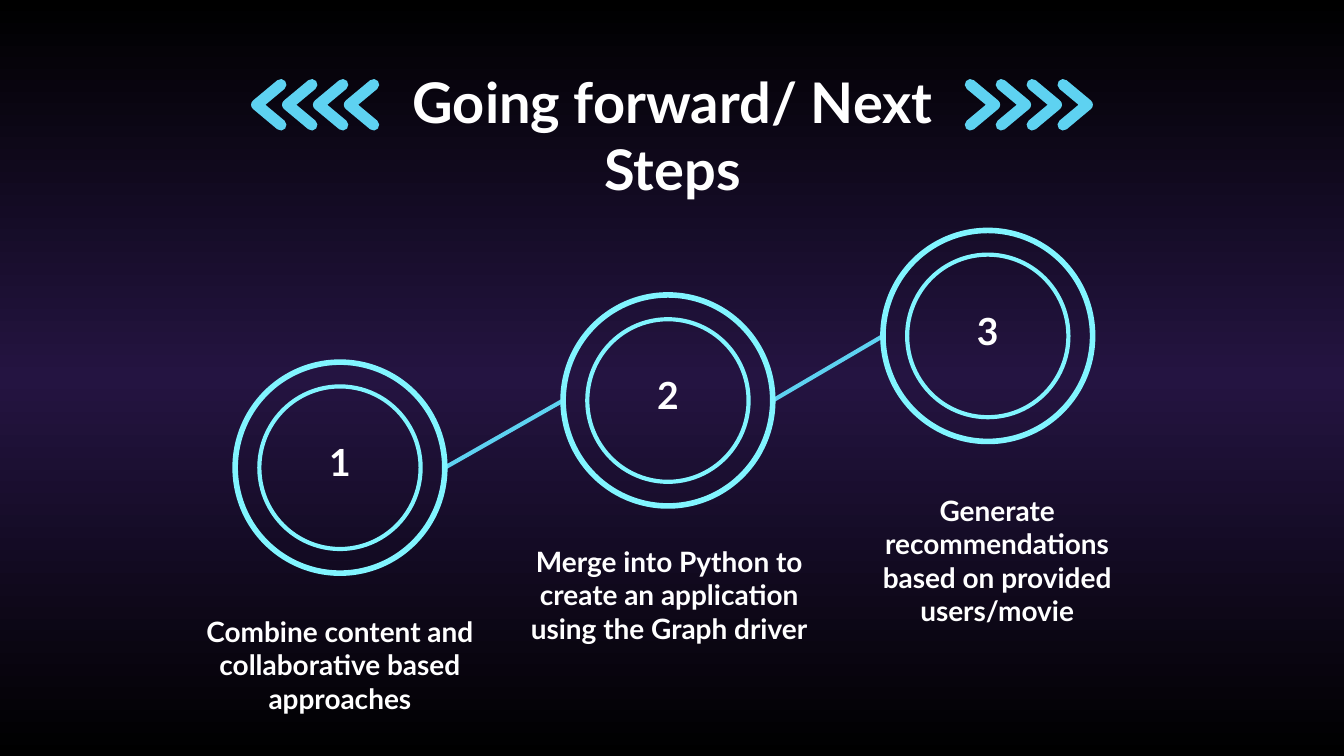
from copy import deepcopy
from dataclasses import dataclass
from itertools import pairwise

from lxml import etree
from pptx import Presentation
from pptx.dml.color import RGBColor
from pptx.enum.shapes import MSO_CONNECTOR, MSO_SHAPE
from pptx.enum.text import MSO_ANCHOR, PP_ALIGN
from pptx.oxml.ns import qn
from pptx.shapes.group import GroupShape
from pptx.slide import Slide
from pptx.util import Inches, Pt

ELLIPSE = MSO_SHAPE.OVAL
STRAIGHT = MSO_CONNECTOR.STRAIGHT
CENTER = PP_ALIGN.CENTER
TOP = MSO_ANCHOR.TOP

BLACK = RGBColor(0x00, 0x00, 0x00)
PURPLE = RGBColor(0x24, 0x14, 0x41)
WHITE = RGBColor(0xFF, 0xFF, 0xFF)
AQUA = RGBColor(0x81, 0xF5, 0xFF)
SKY = RGBColor(0x5E, 0xD2, 0xF1)

SLIDE_WIDTH = Inches(10)
SLIDE_HEIGHT = SLIDE_WIDTH * 9 // 16
RINGS = ((1.2, 1.21, 2.25), (1.56, 1.57, 3))
OUTER_RADIUS = 0.78
CHEVRONS = 4
CHEVRON_PITCH = 0.23
CHEVRON_WIDTH = 0.18
CHEVRON_TOP, CHEVRON_MIDDLE, CHEVRON_BOTTOM = 0.63, 0.78, 0.93


@dataclass(frozen=True)
class Box:
    left: float
    top: float
    width: float
    height: float


@dataclass(frozen=True)
class Step:
    number: str
    x: float
    y: float
    caption: str
    caption_box: Box


STEPS = (
    Step("1", 2.53, 3.48, "Combine content and collaborative based approaches",
         Box(1.4, 4.47, 2.26, 0.6)),
    Step("2", 4.97, 2.98, "Merge into Python to create an application using the Graph driver",
         Box(3.85, 3.95, 2.26, 0.6)),
    Step("3", 7.35, 2.5, "Generate recommendations based on provided users/movie",
         Box(6.24, 3.57, 2.36, 0.6)),
)


def paint_background(slide: Slide) -> None:
    fill = slide.background.fill
    fill.gradient()
    fill.gradient_angle = 270
    stop_list = next(slide.element.iter(qn("a:gsLst")))
    stop_list.append(deepcopy(stop_list[0]))
    for stop, position, color in zip(fill.gradient_stops, (0, 0.5, 1), (BLACK, PURPLE, BLACK)):
        stop.position = position
        stop.color.rgb = color


def add_text(slide: Slide, text: str, box: Box, size: float) -> None:
    frame = slide.shapes.add_textbox(
        Inches(box.left), Inches(box.top), Inches(box.width), Inches(box.height)
    ).text_frame
    frame_format = {
        "word_wrap": True, "vertical_anchor": TOP,
        "margin_left": Inches(0.1), "margin_right": Inches(0.1),
        "margin_top": Inches(0.1), "margin_bottom": Inches(0.1),
    }
    for name, value in frame_format.items():
        setattr(frame, name, value)
    paragraph = frame.paragraphs[0]
    paragraph.alignment = CENTER
    run = paragraph.add_run()
    run.text = text
    for name, value in {"name": "Lato", "size": Pt(size), "bold": True}.items():
        setattr(run.font, name, value)
    run.font.color.rgb = WHITE


def add_rings(slide: Slide, step: Step) -> None:
    badge = slide.shapes.add_group_shape()
    for width, height, weight in RINGS:
        ring = badge.shapes.add_shape(
            ELLIPSE, Inches(step.x - width / 2), Inches(step.y - height / 2),
            Inches(width), Inches(height),
        )
        ring.shadow.inherit = False
        ring.fill.background()
        ring.line.color.rgb = AQUA
        ring.line.width = Pt(weight)


def add_link(slide: Slide, start: Step, end: Step) -> None:
    link = slide.shapes.add_connector(
        STRAIGHT, Inches(start.x + OUTER_RADIUS), Inches(start.y),
        Inches(end.x - OUTER_RADIUS), Inches(end.y),
    )
    link.line.color.rgb = SKY
    link.line.width = Pt(2.25)
    etree.SubElement(link.element.spPr, qn("a:effectLst"))


def add_chevron(arrows: GroupShape, back: float, tip: float) -> None:
    builder = arrows.shapes.build_freeform(Inches(back), Inches(CHEVRON_BOTTOM), scale=1.0)
    builder.add_line_segments(
        [(Inches(tip), Inches(CHEVRON_MIDDLE)), (Inches(back), Inches(CHEVRON_TOP))], close=False
    )
    chevron = builder.convert_to_shape()
    chevron.shadow.inherit = False
    chevron.fill.background()
    chevron.line.color.rgb = SKY
    chevron.line.width = Pt(6)
    outline = chevron.element.spPr.find(qn("a:ln"))
    outline.set("cap", "rnd")
    etree.SubElement(outline, qn("a:round"))


def add_arrows(slide: Slide, first_back: float, direction: int) -> None:
    arrows = slide.shapes.add_group_shape()
    for index in range(CHEVRONS):
        back = first_back + direction * index * CHEVRON_PITCH
        add_chevron(arrows, back, back + direction * CHEVRON_WIDTH)


def main() -> None:
    deck = Presentation()
    deck.slide_width, deck.slide_height = SLIDE_WIDTH, SLIDE_HEIGHT
    slide = deck.slides.add_slide(deck.slide_layouts[6])
    paint_background(slide)
    add_text(slide, "Going forward/ Next Steps", Box(2.7, 0.4, 4.61, 0.74), 30)
    add_arrows(slide, 7.22, 1)
    add_arrows(slide, 2.78, -1)
    for start, end in pairwise(STEPS):
        add_link(slide, start, end)
    for step in STEPS:
        add_rings(slide, step)
        add_text(slide, step.number, Box(step.x - 0.2, step.y - 0.31, 0.4, 0.54), 20)
        add_text(slide, step.caption, step.caption_box, 15)
    deck.save("out.pptx")


if __name__ == "__main__":
    main()
